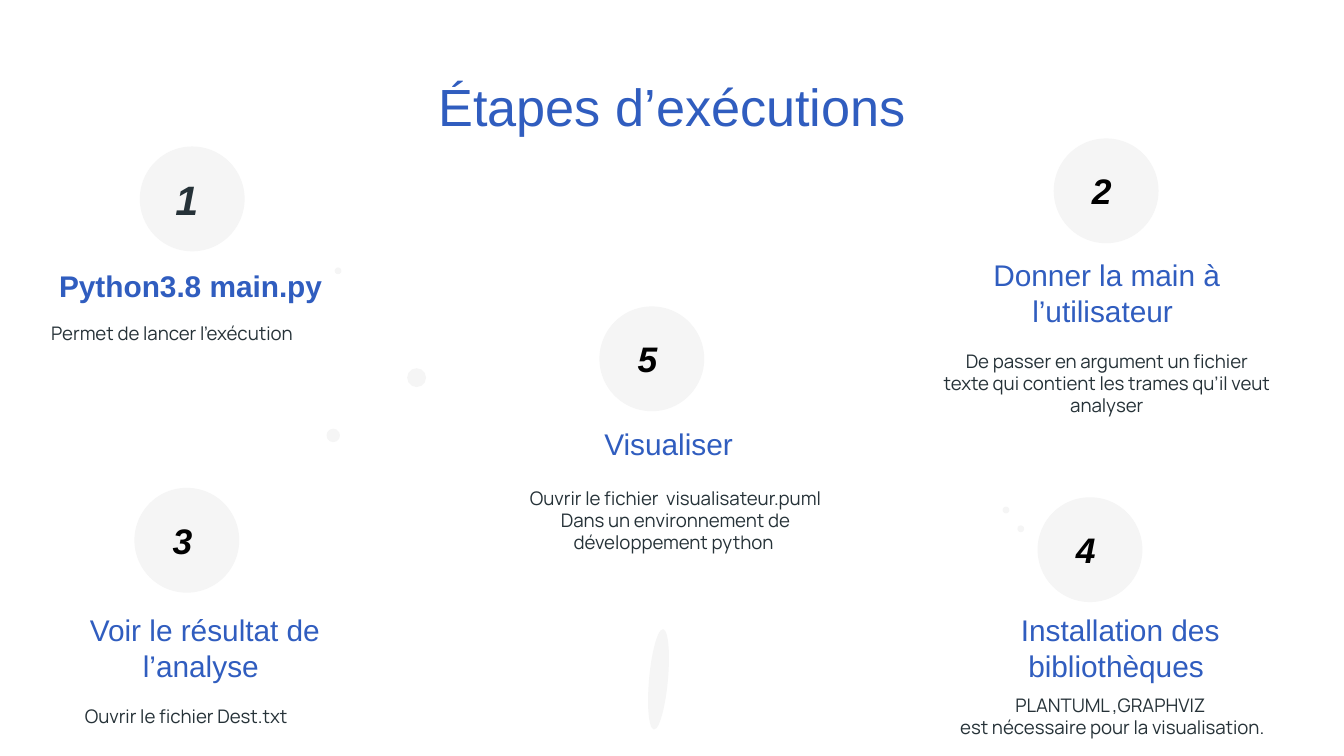
from collections import namedtuple

from pptx import Presentation
from pptx.dml.color import RGBColor
from pptx.enum.shapes import MSO_SHAPE
from pptx.enum.text import MSO_ANCHOR as Anchor, PP_ALIGN as Align
from pptx.util import Inches, Pt

BLUE, DARK, BLACK, PALE = "305DBF", "263238", "000000", "F5F5F5"
SLIDE_WIDTH = 10
INSET = 0.1
LINE_RATIO = 1.2
BADGE_SIZE = 0.78
COLUMN_WIDTH = 2.65

Style = namedtuple("Style", "size font color bold italic", defaults=(False, False))
Caption = namedtuple("Caption", "left top height text align indent right",
                     defaults=(Align.CENTER, INSET, INSET))
Step = namedtuple("Step", "number badge heading detail")

TITLE = Style(28, "Arial", BLUE)
HEADING = Style(16, "Arial", BLUE)
DETAIL = Style(10, "Manrope", DARK)
NUMBER = Style(19, "Arial", BLACK, True, True)
FIRST_HEADING = HEADING._replace(bold=True)
FIRST_NUMBER = NUMBER._replace(size=22, color=DARK)

STEPS = [
    Step("1", (1.04, 1.09),
         Caption(0.11, 1.89, 0.46, "Python3.8 main.py", Align.LEFT, 0.33),
         Caption(0.11, 2.31, 0.49, "Permet de lancer l’exécution", Align.LEFT, 0.27)),
    Step("2", (7.84, 1.03),
         Caption(6.91, 1.81, 0.46, "Donner la main à l’utilisateur "),
         Caption(6.91, 2.5, 0.51, "De passer en argument un fichier texte qui "
                 "contient les trames qu’il veut analyser")),
    Step("3", (1, 3.63),
         Caption(0.2, 4.45, 0.46, "Voir le résultat de l’analyse "),
         Caption(0.11, 5.16, 0.3, "Ouvrir le fichier Dest.txt", right=0.2)),
    Step("4", (7.72, 3.7),
         Caption(7.01, 4.45, 0.46, "Installation des bibliothèques "),
         Caption(6.95, 5.06, 0.46,
                 "PLANTUML ,GRAPHVIZ \nest nécessaire pour la visualisation.")),
    Step("5", (4.46, 2.28),
         Caption(3.65, 3.07, 0.46, "Visualiser"),
         Caption(3.7, 3.52, 0.58, "Ouvrir le fichier  visualisateur.puml\n"
                 "Dans un environnement de développement python ")),
]

DOTS = [
    (8.35, 1.35, 0.1), (3.03, 2.74, 0.14), (1.6, 1.43, 0.1), (2.43, 3.19, 0.1),
    (2.49, 1.99, 0.05), (7.57, 3.91, 0.05), (7.46, 3.77, 0.05),
]


def rgb(code):
    """Return the colour for a hex string."""
    return RGBColor.from_string(code)


def write(frame, text, style, align, indent=INSET, right=INSET):
    """Fill a text frame with evenly spaced paragraphs in one style."""
    frame.word_wrap = True
    frame.margin_left, frame.margin_right = Inches(indent), Inches(right)
    frame.margin_top = frame.margin_bottom = Inches(INSET)
    frame.text = text
    for paragraph in frame.paragraphs:
        paragraph.alignment = align
        paragraph.line_spacing = Pt(style.size * LINE_RATIO)
        for run in paragraph.runs:
            run.font.size = Pt(style.size)
            run.font.name = style.font
            run.font.bold, run.font.italic = style.bold, style.italic
            run.font.color.rgb = rgb(style.color)


def add_oval(slide, left, top, width, height):
    """Draw a pale oval without outline or shadow."""
    oval = slide.shapes.add_shape(MSO_SHAPE.OVAL, Inches(left), Inches(top),
                                  Inches(width), Inches(height))
    oval.shadow.inherit = False
    oval.fill.solid()
    oval.fill.fore_color.rgb = rgb(PALE)
    oval.line.fill.background()
    return oval


def add_caption(slide, caption, style, width=COLUMN_WIDTH):
    """Place a wrapped text box."""
    box = slide.shapes.add_textbox(Inches(caption.left), Inches(caption.top),
                                   Inches(width), Inches(caption.height))
    write(box.text_frame, caption.text, style, caption.align,
          caption.indent, caption.right)


def add_step(slide, step):
    """Place a numbered badge with its heading and detail."""
    is_first = step.number == "1"
    badge = add_oval(slide, *step.badge, BADGE_SIZE, BADGE_SIZE)
    badge.text_frame.vertical_anchor = Anchor.MIDDLE
    write(badge.text_frame, step.number, FIRST_NUMBER if is_first else NUMBER,
          Align.LEFT, indent=0.15 if is_first else 0.17)
    add_caption(slide, step.heading, FIRST_HEADING if is_first else HEADING)
    add_caption(slide, step.detail, DETAIL)


def main():
    """Build the slide of execution steps and save it."""
    deck = Presentation()
    deck.slide_width = Inches(SLIDE_WIDTH)
    deck.slide_height = Inches(SLIDE_WIDTH * 9 / 16)
    slide = deck.slides.add_slide(deck.slide_layouts[6])
    for step in STEPS:
        add_step(slide, step)
    add_caption(slide, Caption(0.75, 0.45, 0.63, "Étapes d’exécutions"), TITLE, 8.5)
    for left, top, size in DOTS:
        add_oval(slide, left, top, size, size)
    add_oval(slide, 4.83, 4.68, 0.14, 0.75).rotation = 5.2
    deck.save("out.pptx")


if __name__ == "__main__":
    main()
